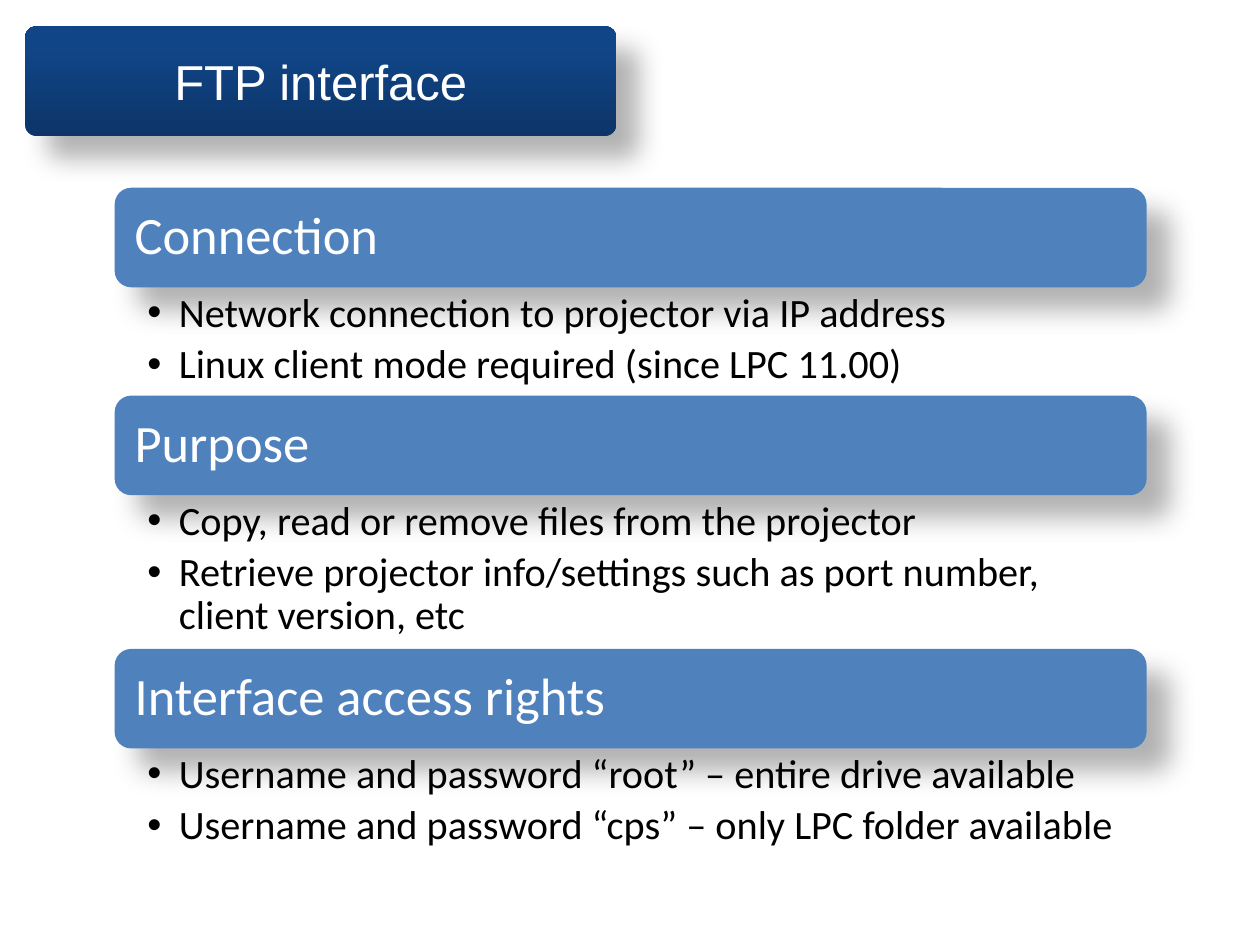
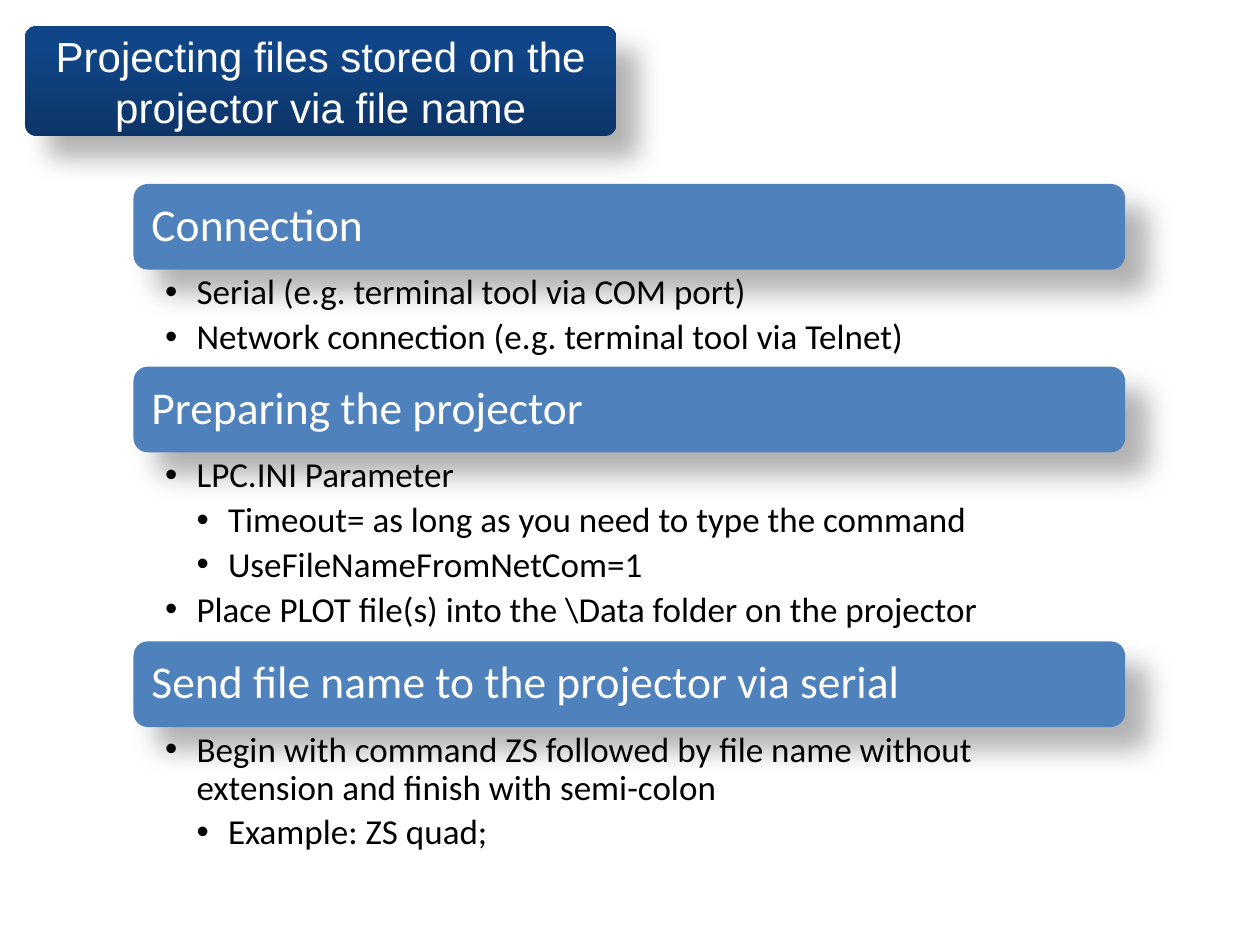
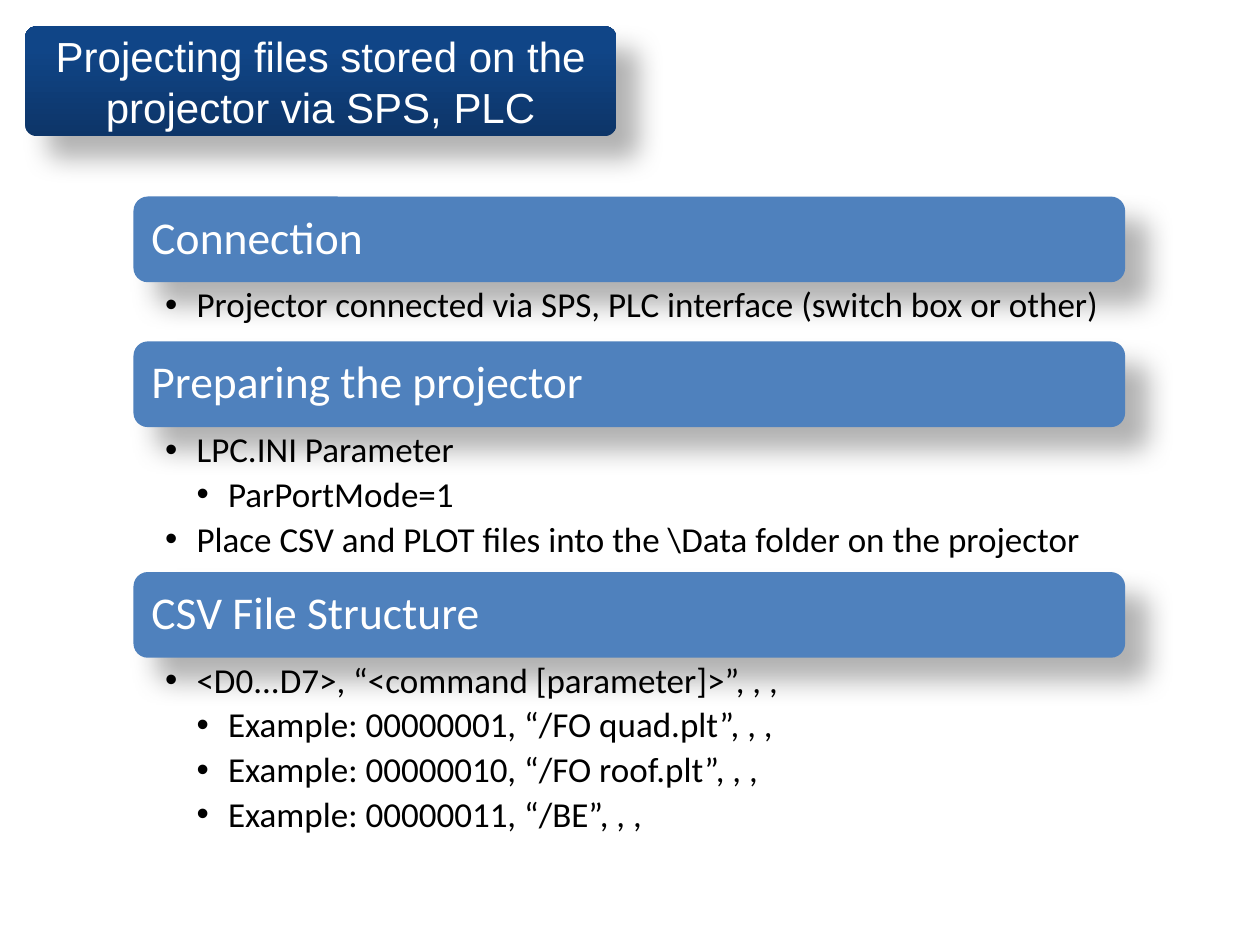
from copy import deepcopy

from lxml.etree import SubElement
from pptx import Presentation
from pptx.dml.color import RGBColor
from pptx.enum.shapes import MSO_SHAPE
from pptx.enum.text import MSO_ANCHOR, MSO_AUTO_SIZE, PP_ALIGN
from pptx.oxml.ns import qn
from pptx.util import Inches, Pt

COLORS = {
    "white": "FFFFFF",
    "black": "000000",
    "card": "4F81BD",
    "banner_dark": "0D3568",
    "banner_mid": "104587",
    "banner_light": "0E458A",
}
BANNER_STOPS = [(0, "banner_dark"), (0.8, "banner_mid"), (1, "banner_light")]
BANNER_BOX = (0.2, 0.21, 4.69, 0.87)
COMPARISON_LAYOUT = 4
INDENT = 0.25

LARGE = {"left": 0.91, "width": 8.19, "card_height": 0.79, "heading_size": 30,
         "list_size": 23, "card_inset": 0.12, "list_insets": (0.26, 0.04, 0.23, 0.04)}
SMALL = {"left": 1.06, "width": 7.87, "card_height": 0.68, "heading_size": 26,
         "list_size": 20, "card_inset": 0.11, "list_insets": (0.25, 0.04, 0.2, 0.04)}

SLIDES = [
    {
        "title": "FTP interface", "title_size": 28, "top": 1.49, "style": LARGE,
        "sections": [
            ("Connection", 0.86, [
                (1, "Network connection to projector via IP address"),
                (1, "Linux client mode required (since LPC 11.00)")]),
            ("Purpose", 1.22, [
                (1, "Copy, read or remove files from the projector"),
                (1, "Retrieve projector info/settings such as port number, client version, etc")]),
            ("Interface access rights", 0.86, [
                (1, "Username and password “root” – entire drive available"),
                (1, "Username and password “cps” – only LPC folder available")]),
        ],
    },
    {
        "title": "Projecting files stored on the projector via file name",
        "title_size": 24, "top": 1.46, "style": SMALL,
        "sections": [
            ("Connection", 0.77, [
                (1, "Serial (e.g. terminal tool via COM port)"),
                (1, "Network connection (e.g. terminal tool via Telnet)")]),
            ("Preparing the projector", 1.5, [
                (1, "LPC.INI Parameter"),
                (2, "Timeout= as long as you need to type the command"),
                (2, "UseFileNameFromNetCom=1"),
                (1, "Place PLOT file(s) into the \\Data folder on the projector")]),
            ("Send file name to the projector via serial", 1.06, [
                (1, "Begin with command ZS followed by file name without extension "
                    "and finish with semi-colon"),
                (2, "Example: ZS quad;")]),
        ],
    },
    {
        "title": "Projecting files stored on the projector via SPS, PLC",
        "title_size": 24, "top": 1.56, "style": SMALL,
        "sections": [
            ("Connection", 0.47, [
                (1, "Projector connected via SPS, PLC interface (switch box or other)")]),
            ("Preparing the projector", 1.15, [
                (1, "LPC.INI Parameter"),
                (2, "ParPortMode=1"),
                (1, "Place CSV and PLOT files into the \\Data folder on the projector")]),
            ("CSV File Structure", 1.5, [
                (1, "<D0...D7>, “<command [parameter]>”, , ,"),
                (2, "Example: 00000001, “/FO quad.plt”, , ,"),
                (2, "Example: 00000010, “/FO roof.plt”, , ,"),
                (2, "Example: 00000011, “/BE”, , ,")]),
        ],
    },
]


def rgb(name):
    return RGBColor.from_string(COLORS[name])


def write_paragraph(paragraph, text, size, font="Calibri", color="white",
                    align=PP_ALIGN.LEFT, line_spacing=0.9, space_after=0, level=0):
    paragraph.alignment = align
    paragraph.line_spacing = line_spacing
    paragraph.space_before = Pt(0)
    paragraph.space_after = Pt(space_after * size)
    paragraph.level = level
    if level:
        properties = paragraph._p.get_or_add_pPr()
        properties.set("marL", str(Inches(INDENT * level)))
        properties.set("indent", str(-Inches(INDENT)))
        SubElement(properties, qn("a:buFont"), typeface="Arial")
        SubElement(properties, qn("a:buChar"), char="•")
    run = paragraph.add_run()
    run.text = text
    run.font.name = font
    run.font.size = Pt(size)
    run.font.bold = False
    run.font.color.rgb = rgb(color)


class Deck:
    def __init__(self):
        self.presentation = Presentation()
        self.presentation.slide_width = Inches(10)
        self.presentation.slide_height = Inches(7.5)
        self.slide = None
        self.style = None

    def add_slide(self, style):
        layout = self.presentation.slide_layouts[COMPARISON_LAYOUT]
        self.slide = self.presentation.slides.add_slide(layout)
        self.style = style

    def rounded_box(self, box):
        shape = self.slide.shapes.add_shape(
            MSO_SHAPE.ROUNDED_RECTANGLE, *[Inches(value) for value in box])
        shape.line.fill.background()
        shape.shadow.inherit = False
        effects = shape.element.spPr.find(qn("a:effectLst"))
        shadow = SubElement(effects, qn("a:outerShdw"), blurRad=str(Pt(15)),
                            dist=str(Pt(18)), dir="2700000", rotWithShape="0")
        color = SubElement(shadow, qn("a:srgbClr"), val=COLORS["black"])
        SubElement(color, qn("a:alpha"), val="30000")
        return shape

    def place(self, placeholder, box, insets, anchor):
        placeholder.element.getparent().append(placeholder.element)
        placeholder.left, placeholder.top, placeholder.width, placeholder.height = [
            Inches(value) for value in box]
        return self.text_frame(placeholder, insets, anchor)

    def text_frame(self, shape, insets, anchor):
        frame = shape.text_frame
        frame.word_wrap = True
        frame.auto_size = MSO_AUTO_SIZE.NONE
        frame.vertical_anchor = anchor
        frame.margin_left, frame.margin_top, frame.margin_right, frame.margin_bottom = [
            Inches(value) for value in insets]
        return frame

    def title(self, text, size):
        banner = self.rounded_box(BANNER_BOX)
        banner.adjustments[0] = 0.1
        banner.fill.gradient()
        banner.fill.gradient_angle = 90
        stops = banner.element.spPr.find(qn("a:gradFill")).find(qn("a:gsLst"))
        stops.append(deepcopy(stops[0]))
        for stop, (position, color) in zip(banner.fill.gradient_stops, BANNER_STOPS):
            stop.position = position
            stop.color.rgb = rgb(color)
        frame = self.place(self.slide.shapes.title, BANNER_BOX,
                           (0.1, 0.05, 0.1, 0.05), MSO_ANCHOR.MIDDLE)
        write_paragraph(frame.paragraphs[0], text, size, font="Arial",
                        align=PP_ALIGN.CENTER, line_spacing=1)

    def card(self, text, top):
        style = self.style
        shape = self.rounded_box((style["left"], top, style["width"], style["card_height"]))
        shape.fill.solid()
        shape.fill.fore_color.rgb = rgb("card")
        frame = self.text_frame(shape, [style["card_inset"]] * 4, MSO_ANCHOR.MIDDLE)
        write_paragraph(frame.paragraphs[0], text, style["heading_size"], space_after=0.35)

    def bullets(self, placeholder, items, top, height):
        style = self.style
        frame = self.place(placeholder, (style["left"], top, style["width"], height),
                           style["list_insets"], MSO_ANCHOR.TOP)
        for index, (level, text) in enumerate(items):
            paragraph = frame.add_paragraph() if index else frame.paragraphs[0]
            write_paragraph(paragraph, text, style["list_size"], color="black",
                            space_after=0.2, level=level)

    def sections(self, sections, top):
        bodies = list(self.slide.placeholders)[1:]
        for body, (heading, list_height, items) in zip(bodies, sections):
            self.card(heading, top)
            top += self.style["card_height"]
            self.bullets(body, items, top, list_height)
            top += list_height
        for body in bodies[len(sections):]:
            body.element.getparent().remove(body.element)


def main():
    deck = Deck()
    for content in SLIDES:
        deck.add_slide(content["style"])
        deck.title(content["title"], content["title_size"])
        deck.sections(content["sections"], content["top"])
    deck.presentation.save("out.pptx")


if __name__ == "__main__":
    main()
